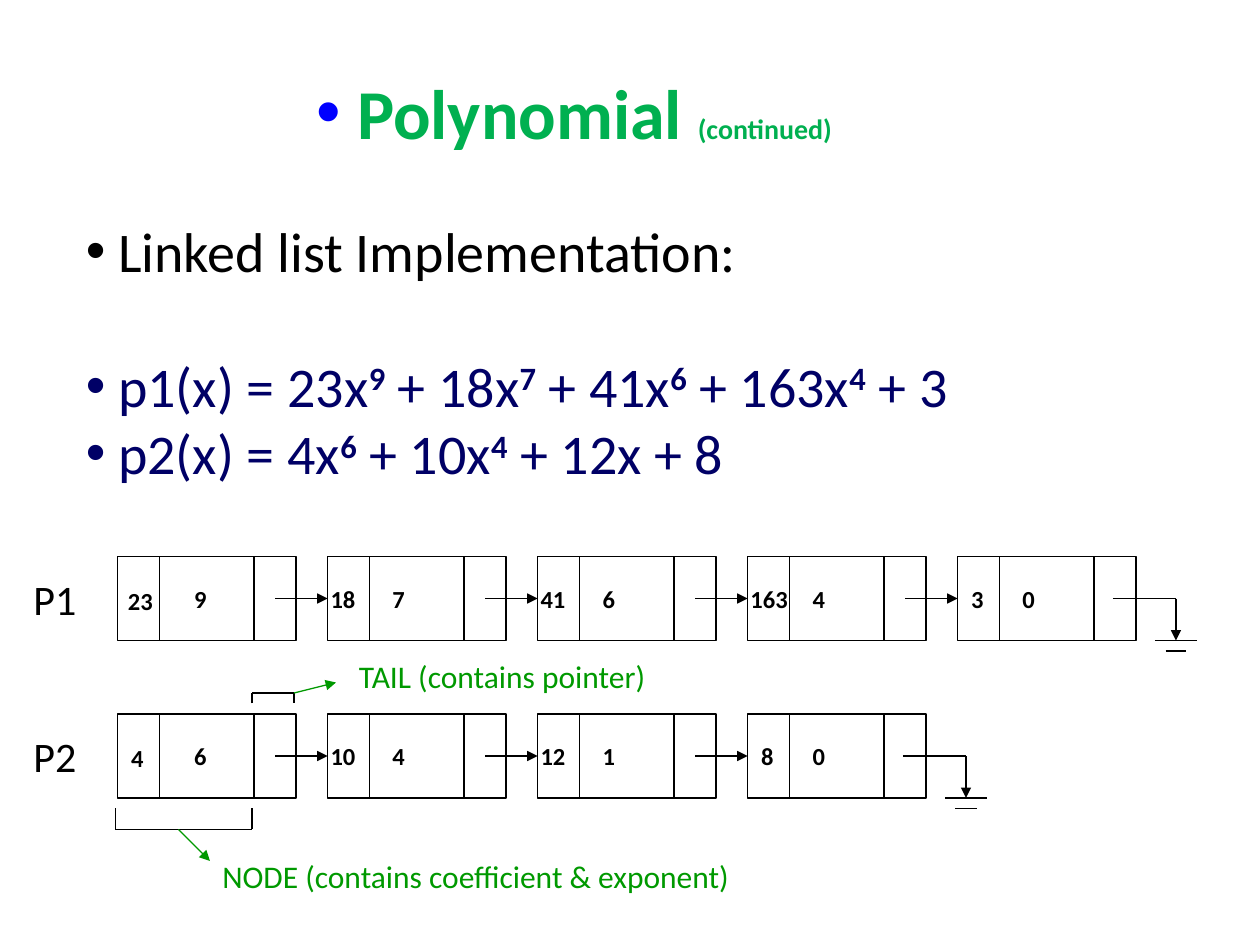
import itertools

import pptx
import pptx.dml.color
import pptx.enum.shapes
import pptx.enum.text
import pptx.oxml
import pptx.oxml.ns
import pptx.util

SLIDE_WIDTH, SLIDE_HEIGHT = pptx.util.Inches(10), pptx.util.Inches(7.5)
COLUMNS = 120
UNIT = SLIDE_WIDTH / COLUMNS
BLACK, BLUE, NAVY, GREEN, LEAF = "000000", "0000FF", "000066", "00B050", "009900"
NODE_LEFT, NODE_WIDTH, NODE_HEIGHT, NODE_PITCH = 11.2, 17, 8, 20
DIVIDERS = (4, 13)
POLYNOMIALS = {
    "P1": (53, [("23", "9"), ("18", "7"), ("41", "6"), ("163", "4"), ("3", "0")]),
    "P2": (68, [("4", "6"), ("10", "4"), ("12", "1"), ("8", "0")]),
}
FORMULAS = ("p1(x) = 23x^9^ + 18x^7^ + 41x^6^ + 163x^4^ + 3",
            "p2(x) = 4x^6^ + 10x^4^ + 12x + 8")


def grid(*counts):
    """Turn grid counts into slide lengths."""
    return [pptx.util.Emu(round(count * UNIT)) for count in counts]


def rgb(hex_colour):
    """Turn a hex string into a colour."""
    return pptx.dml.color.RGBColor.from_string(hex_colour)


def apply(target, formats):
    """Set each format value on the target."""
    for name, value in formats.items():
        setattr(target, name, value)


def add_frame(slide, left, top, width, height, wrap=False):
    """Add a text box on the grid and return its text frame."""
    frame = slide.shapes.add_textbox(*grid(left, top, width, height)).text_frame
    apply(frame, {"word_wrap": wrap,
                  "auto_size": pptx.enum.text.MSO_AUTO_SIZE.SHAPE_TO_FIT_TEXT})
    return frame


def add_run(paragraph, text, size, colour, bold=False):
    """Add a formatted run to a paragraph."""
    run = paragraph.add_run()
    run.text = text
    apply(run.font, {"name": "Calibri", "size": pptx.util.Pt(size), "bold": bold})
    run.font.color.rgb = rgb(colour)
    return run


def add_label(slide, box, text, size, colour=BLACK, bold=False):
    """Add a one-line label."""
    add_run(add_frame(slide, *box).paragraphs[0], text, size, colour, bold)


def add_bullet(paragraph, colour):
    """Give a paragraph a coloured round bullet."""
    properties = paragraph._p.get_or_add_pPr()
    apply_space = pptx.oxml.ns.nsdecls("a")
    for xml in (f'<a:buClr {apply_space}><a:srgbClr val="{colour}"/></a:buClr>',
                f'<a:buFont {apply_space} typeface="Arial"/>',
                f'<a:buChar {apply_space} char="•"/>'):
        properties.append(pptx.oxml.parse_xml(xml))


def add_formula(paragraph, formula):
    """Write a bulleted formula whose powers stand between carets."""
    add_bullet(paragraph, NAVY)
    for index, part in enumerate(f" {formula}".split("^")):
        is_power = index % 2 == 1
        run = add_run(paragraph, part, 32, NAVY, is_power)
        if is_power:
            run._r.get_or_add_rPr().set("baseline", "30000")


def add_line(slide, start, end, colour=BLACK, arrow=False):
    """Draw a thin straight line between two grid points."""
    line = slide.shapes.add_connector(
        pptx.enum.shapes.MSO_CONNECTOR.STRAIGHT, *grid(*start, *end))
    line.line.width = pptx.util.Pt(0.75)
    line.line.color.rgb = rgb(colour)
    if arrow:
        line.line._get_or_add_ln().append(pptx.oxml.parse_xml(
            f'<a:tailEnd {pptx.oxml.ns.nsdecls("a")} type="triangle"/>'))
    line._element.spPr.append(pptx.oxml.parse_xml(
        f'<a:effectLst {pptx.oxml.ns.nsdecls("a")}/>'))
    return line


def add_path(slide, *points):
    """Join consecutive grid points with lines."""
    for start, end in itertools.pairwise(points):
        add_line(slide, start, end)


def add_node(slide, left, top):
    """Draw a three-part list node."""
    node = slide.shapes.add_shape(
        pptx.enum.shapes.MSO_SHAPE.RECTANGLE, *grid(left, top, NODE_WIDTH, NODE_HEIGHT))
    node.shadow.inherit = False
    node.fill.background()
    node.line.width = pptx.util.Pt(0.75)
    node.line.color.rgb = rgb(BLACK)
    for offset in DIVIDERS:
        add_line(slide, (left + offset, top), (left + offset, top + NODE_HEIGHT))
    return node


def add_term(slide, left, top, coefficient, exponent, is_head):
    """Write the coefficient and exponent of a node."""
    digits = len(coefficient)
    indent = 0.1 if digits == 1 else -0.2 if is_head else -0.9
    drop = 2.2 if is_head else 2
    add_label(slide, (left + indent, top + drop, 2.4 + 1.3 * digits, 4),
              coefficient, 14, bold=True)
    add_label(slide, (left + (6.1 if is_head else 5), top + 2, 3.7, 4),
              exponent, 14, bold=True)


def add_ground(slide, left, top):
    """End a list with a pointer to the ground symbol."""
    middle, bottom = top + NODE_HEIGHT / 2, top + NODE_HEIGHT
    stem = left + 20.8
    add_line(slide, (left + 14.8, middle), (stem, middle))
    add_line(slide, (stem, middle), (stem, bottom), arrow=True)
    for row, reach in ((bottom, 2), (bottom + 1, 1)):
        add_line(slide, (stem - reach, row), (stem + reach, row))


def add_list(slide, name, top, terms):
    """Draw a named linked list of polynomial terms."""
    add_label(slide, (2, top + 1, 7.3, 6), name, 24)
    lefts = [NODE_LEFT + NODE_PITCH * index for index in range(len(terms))]
    nodes = [add_node(slide, left, top) for left in lefts]
    for index, (left, term) in enumerate(zip(lefts, terms)):
        add_term(slide, left, top, *term, index == 0)
    middle = top + NODE_HEIGHT / 2
    for left, following in zip(lefts, nodes[1:]):
        pointer = add_line(slide, (left + 15, middle), (left + NODE_PITCH, middle), arrow=True)
        pointer.end_connect(following, 1)
    add_ground(slide, lefts[-1], top)


def add_heading(slide):
    """Write the title and the formulas."""
    title = add_frame(slide, 29, 6, 56, 9.3).paragraphs[0]
    add_bullet(title, BLUE)
    add_run(title, " Polynomial ", 40, GREEN, True)
    add_run(title, "(continued)", 16, GREEN, True)
    body = add_frame(slide, 7, 20, 110, 26.8, wrap=True)
    add_bullet(body.paragraphs[0], BLACK)
    add_run(body.paragraphs[0], " Linked list Implementation:", 32, BLACK)
    for formula in FORMULAS:
        add_formula(body.add_paragraph(), formula)
    body.paragraphs[1].space_before = pptx.util.Pt(39)


def add_callouts(slide):
    """Bracket and explain the parts of a node."""
    add_path(slide, (11, 77), (11, 79), (24, 79), (24, 77))
    add_line(slide, (17, 79), (20, 82), LEAF, arrow=True)
    add_label(slide, (20, 81, 55.4, 4.8), "NODE (contains coefficient & exponent)", 18, LEAF)
    add_path(slide, (24, 67), (24, 66), (28, 66), (28, 67))
    add_line(slide, (28, 66), (32, 65), LEAF, arrow=True)
    add_label(slide, (33, 62, 32.8, 4.8), "TAIL (contains pointer)", 18, LEAF)


def main():
    """Build and save the slide."""
    deck = pptx.Presentation()
    apply(deck, {"slide_width": SLIDE_WIDTH, "slide_height": SLIDE_HEIGHT})
    slide = deck.slides.add_slide(deck.slide_layouts[6])
    add_heading(slide)
    for name, (top, terms) in POLYNOMIALS.items():
        add_list(slide, name, top, terms)
    add_callouts(slide)
    deck.save("out.pptx")


if __name__ == "__main__":
    main()
